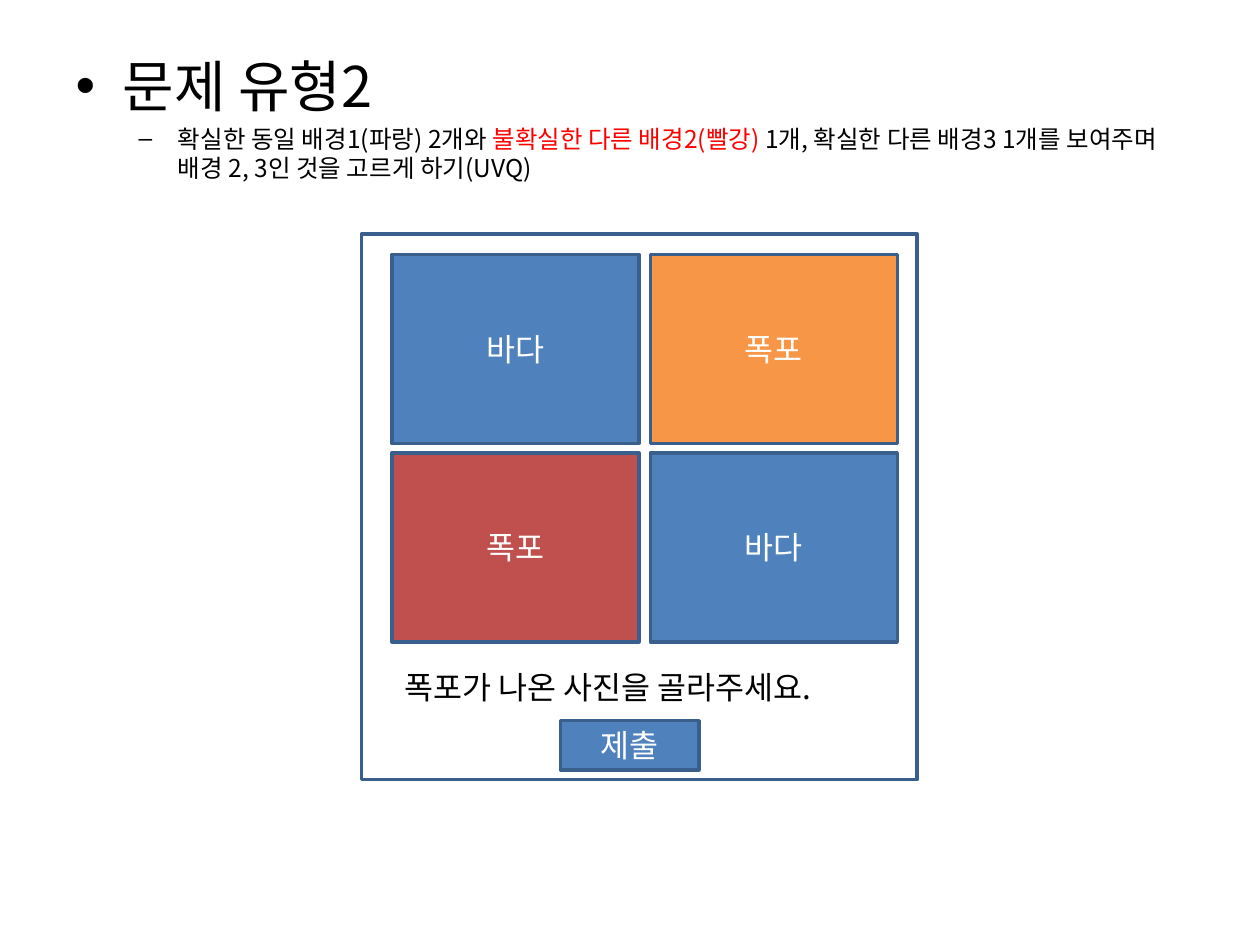
"""Build a slide sketching an image-choice question with four tiles."""
import pptx
import pptx.dml.color
import pptx.enum.shapes
import pptx.enum.text
import pptx.oxml
import pptx.oxml.ns
import pptx.util

Cm = pptx.util.Cm
FONT = "Noto Sans CJK KR"
BLUE, ORANGE, RED = "4F81BD", "F79646", "C0504D"
BORDER, WHITE, BLACK = "3A5F8C", "FFFFFF", "000000"


def set_color(color_format, value):
    """Apply a hex colour."""
    color_format.rgb = pptx.dml.color.RGBColor.from_string(value)


def format_run(run, size, color):
    """Set the Latin and East Asian font, size and colour of a run."""
    run.font.name = FONT
    run.font.size = pptx.util.Pt(size)
    set_color(run.font.color, color)
    east_asian = pptx.oxml.parse_xml(
        f'<a:ea {pptx.oxml.ns.nsdecls("a")} typeface="{FONT}"/>')
    run.font._element.find(pptx.oxml.ns.qn("a:latin")).addnext(east_asian)


def add_box(slide, left, top, width, height, fill, label=""):
    """Add a bordered rectangle with an optional centred label."""
    shape = slide.shapes.add_shape(
        pptx.enum.shapes.MSO_SHAPE.RECTANGLE,
        Cm(left), Cm(top), Cm(width), Cm(height))
    shape.shadow.inherit = False
    shape.fill.solid()
    set_color(shape.fill.fore_color, fill)
    set_color(shape.line.color, BORDER)
    shape.line.width = pptx.util.Pt(2)
    if label:
        shape.text_frame.text = label
        shape.text_frame.vertical_anchor = pptx.enum.text.MSO_ANCHOR.MIDDLE
        paragraph = shape.text_frame.paragraphs[0]
        paragraph.alignment = pptx.enum.text.PP_ALIGN.CENTER
        format_run(paragraph.runs[0], 18, WHITE)


def add_description(slide):
    """Fill the body placeholder with the question type and its rule."""
    body = slide.placeholders[1]
    body.left, body.top, body.width, body.height = (
        Cm(1.27), Cm(0.91), Cm(22.86), Cm(3.2))
    frame = body.text_frame
    frame.auto_size = pptx.enum.text.MSO_AUTO_SIZE.NONE
    frame.text = "문제 유형2"
    format_run(frame.paragraphs[0].runs[0], 32, BLACK)
    rule = frame.add_paragraph()
    rule.level = 1
    parts = [
        ("확실한 동일 배경1(파랑) 2개와 ", BLACK),
        ("불확실한 다른 배경2(빨강) ", "FF0000"),
        ("1개, 확실한 다른 배경3 1개를 보여주며 배경 2, 3인 것을 고르게 하기(UVQ)", BLACK),
    ]
    for text, color in parts:
        run = rule.add_run()
        run.text = text
        format_run(run, 14, color)


def add_tiles(slide):
    """Lay the four answer tiles out in a two by two grid."""
    tiles = [("바다", BLUE), ("폭포", ORANGE), ("폭포", RED), ("바다", BLUE)]
    for index, (label, fill) in enumerate(tiles):
        row, column = divmod(index, 2)
        add_box(slide, 7.9 + 5.21 * column, 5.13 + 4 * row,
                4.98, 3.81, fill, label)


def add_prompt(slide):
    """Add the instruction under the tiles."""
    box = slide.shapes.add_textbox(Cm(7.9), Cm(13.34), Cm(9.68), Cm(1.02))
    box.text_frame.word_wrap = False
    box.text_frame.auto_size = pptx.enum.text.MSO_AUTO_SIZE.SHAPE_TO_FIT_TEXT
    box.text_frame.text = "폭포가 나온 사진을 골라주세요."
    format_run(box.text_frame.paragraphs[0].runs[0], 18, BLACK)


def main():
    """Build and save the presentation."""
    presentation = pptx.Presentation()
    presentation.slide_width, presentation.slide_height = Cm(25.4), Cm(19.05)
    slide = presentation.slides.add_slide(presentation.slide_layouts[1])
    title = slide.shapes.title._element
    title.getparent().remove(title)
    add_description(slide)
    add_box(slide, 7.29, 4.72, 11.2, 11, WHITE)
    add_tiles(slide)
    add_prompt(slide)
    add_box(slide, 11.3, 14.53, 2.79, 0.99, BLUE, "제출")
    presentation.save("out.pptx")


main()
